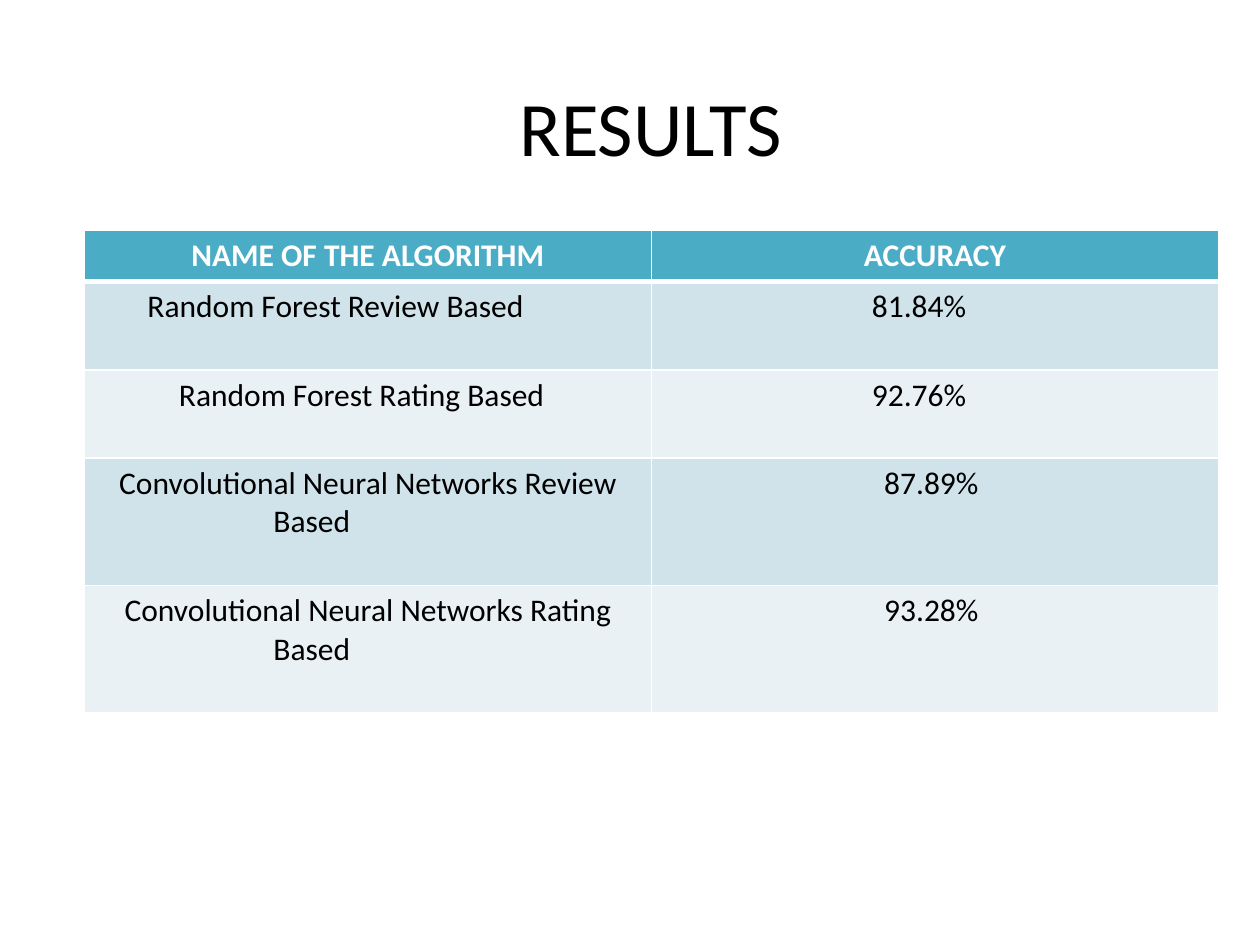
"""Build a slide with a table of algorithm accuracies."""
from lxml.etree import SubElement
from pptx import Presentation
from pptx.dml.color import RGBColor
from pptx.enum.text import MSO_ANCHOR, PP_ALIGN
from pptx.oxml.ns import qn
from pptx.util import Inches, Pt

TITLE = "RESULTS"
ROWS = [
    ("NAME OF THE ALGORITHM", "ACCURACY"),
    ("Random Forest Review Based \t", "81.84% \t"),
    ("Random Forest Rating Based \t", "92.76% \t"),
    ("Convolutional Neural Networks Review Based \t\t", "87.89% "),
    ("Convolutional Neural Networks Rating Based \t\t", "93.28% "),
]
ROW_HEIGHTS = [0.4, 0.7, 0.7, 1.01, 1.01]
COLUMN_WIDTH = 4.5
FONT = "Calibri"
WHITE = RGBColor(0xFF, 0xFF, 0xFF)
BLACK = RGBColor(0, 0, 0)
HEADER_FILL = RGBColor(0x4B, 0xAC, 0xC6)
BAND_FILLS = [RGBColor(0xE9, 0xF1, 0xF5), RGBColor(0xD0, 0xE3, 0xEA)]


def style_text(paragraph, size, color, bold=False):
    paragraph.alignment = PP_ALIGN.CENTER
    paragraph.font.name = FONT
    paragraph.font.size = Pt(size)
    paragraph.font.bold = bold
    paragraph.font.color.rgb = color


def add_borders(cell, top, bottom):
    properties = cell._tc.get_or_add_tcPr()
    for side, width in (("L", 1), ("R", 1), ("T", top), ("B", bottom)):
        line = SubElement(properties, qn(f"a:ln{side}"), w=str(Pt(width)))
        fill = SubElement(line, qn("a:solidFill"))
        SubElement(fill, qn("a:srgbClr"), val=str(WHITE))


def add_title(slide):
    title = slide.shapes.title
    title.left, title.top = Inches(1.08), Inches(0.58)
    title.width, title.height = Inches(8.17), Inches(0.84)
    title.text_frame.text = TITLE
    title.text_frame.vertical_anchor = MSO_ANCHOR.MIDDLE
    style_text(title.text_frame.paragraphs[0], 44, BLACK)


def add_results_table(slide):
    columns = len(ROWS[0])
    table = slide.shapes.add_table(
        len(ROWS), columns, Inches(0.67), Inches(1.83),
        Inches(COLUMN_WIDTH * columns), Inches(sum(ROW_HEIGHTS))).table
    for row_index, (texts, height) in enumerate(zip(ROWS, ROW_HEIGHTS)):
        table.rows[row_index].height = Inches(height)
        header = row_index == 0
        for column_index, text in enumerate(texts):
            cell = table.cell(row_index, column_index)
            cell.text = text
            style_text(cell.text_frame.paragraphs[0], 18,
                       WHITE if header else BLACK, header)
            add_borders(cell, 3 if row_index == 1 else 1, 3 if header else 1)
            cell.fill.solid()
            cell.fill.fore_color.rgb = HEADER_FILL if header else BAND_FILLS[row_index % 2]


def main():
    presentation = Presentation()
    presentation.slide_width, presentation.slide_height = Inches(10), Inches(7.5)
    slide = presentation.slides.add_slide(presentation.slide_layouts[5])
    add_results_table(slide)
    add_title(slide)
    presentation.save("out.pptx")


if __name__ == "__main__":
    main()
